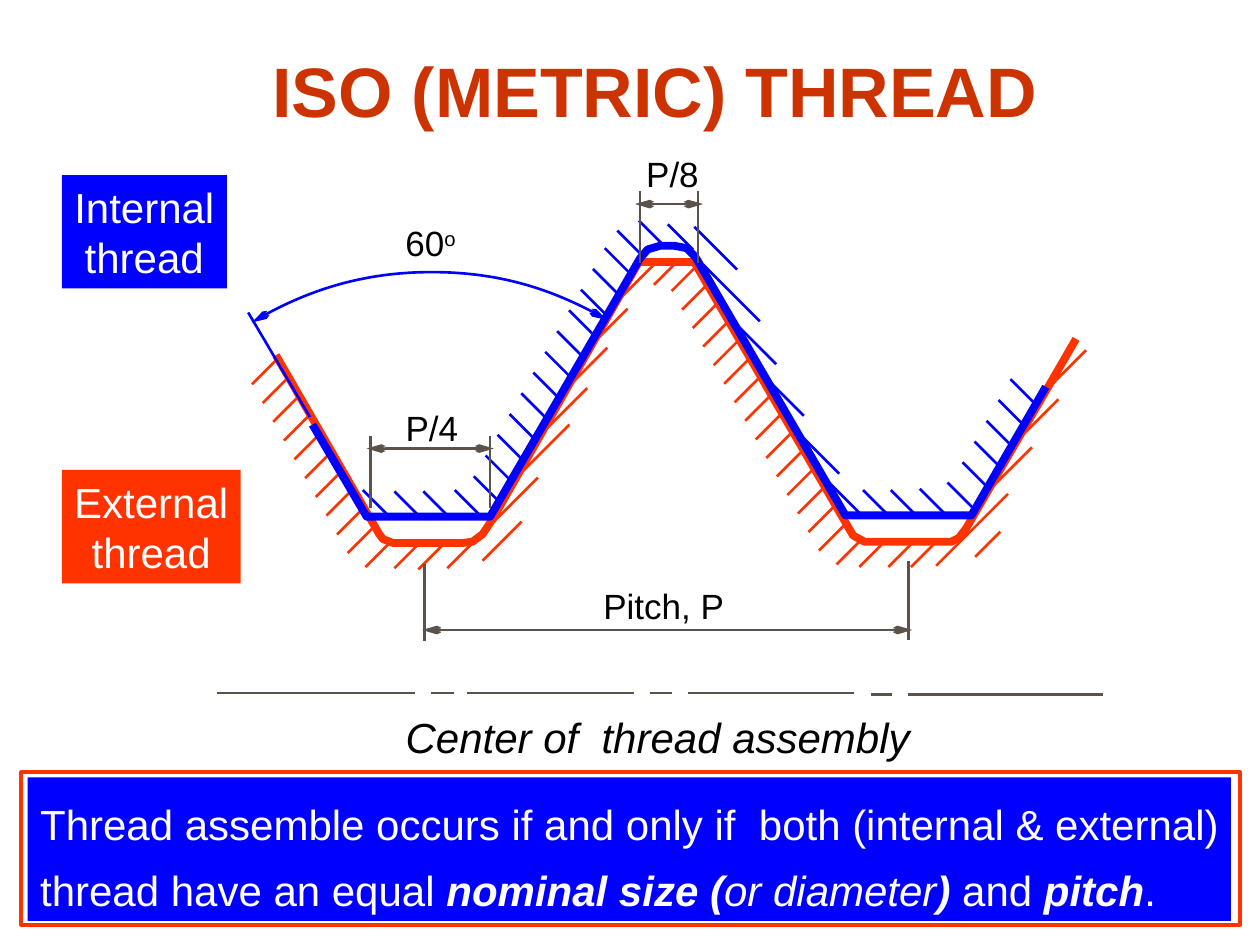
from pptx import Presentation
from pptx import util as u
from pptx.dml.color import RGBColor
from pptx.enum import shapes as kinds, text as t
from pptx.oxml.ns import qn
from lxml import etree

PX = 9144  # EMU per px, 100 px to the inch
FONT = "Arial"
COLORS = {"title": "CC3300", "external": "FF3300", "internal": "0000FF",
          "dimension": "5B5249", "black": "000000", "white": "FFFFFF"}

TITLE = "ISO (METRIC) THREAD"
TITLE_BOX = (206, 33, 680, 77)

EXTERNAL_PROFILE = [
    (219, 282), (301, 424), (304, 428), (312, 431), (331, 431), (341, 431),
    (367, 431), (375, 430), (383, 424), (391, 412), (507, 208), (551, 208),
    (677, 425), (686, 430), (755, 430), (761, 427), (767, 419), (854, 269)]
INTERNAL_PROFILE = [
    (248, 337), (291, 410), (389, 410), (508, 205), (514, 198), (524, 195),
    (535, 195), (545, 197), (552, 204), (671, 409), (771, 409), (830, 307)]

# Evenly hatched flanks: first point, last point, number of strokes
EXTERNAL_FLANKS = [((220, 285), (296, 419), 10), ((553, 211), (670, 417), 15)]
INTERNAL_FLANKS = [((500, 217), (396, 398), 12), ((822, 321), (784, 387), 5)]
# Single hatch strokes: x, y, reach
EXTERNAL_HATCHES = [
    (310, 430, 20), (333, 431, 20), (352, 432, 20), (375, 431, 20),
    (414, 414, 31), (427, 379, 38), (452, 337, 44), (466, 308, 38),
    (482, 276, 35), (498, 245, 33), (521, 208, 34), (539, 206, 20),
    (684, 428, 20), (702, 430, 20), (725, 430, 20), (743, 430, 20),
    (800, 392, 57), (794, 422, 20), (819, 355, 30), (840, 317, 33),
    (862, 278, 35)]
INTERNAL_HATCHES = [
    (381, 409, 20), (550, 198, 20), (527, 195, 20), (510, 203, 20),
    (585, 214, 34), (603, 255, 45), (616, 289, 36), (638, 330, 34),
    (666, 376, 34), (683, 408, 28), (772, 403, 20), (750, 408, 20),
    (727, 409, 20), (705, 409, 20), (356, 410, 20), (333, 410, 20),
    (308, 409, 20)]

CENTER_LINE = [(172, 329, 550), (342, 360, 550), (371, 503, 550), (516, 533, 550),
               (546, 678, 550), (691, 708, 551), (721, 875, 551)]  # x1, x2, y

# Dimension: label, label box, arrow (x1, x2, y), extension lines (x, y1, y2)
DIMENSIONS = [
    ("Pitch, P", (469, 459, 116, 44), (335, 724, 500), [(337, 448, 509), (721, 445, 508)]),
    ("P/4", (312, 318, 62, 44), (291, 392, 356), [(294, 346, 403), (389, 346, 403)]),
    ("P/8", (503, 116, 62, 44), (504, 558, 162), [(508, 152, 209), (554, 152, 209)])]

ANGLE_SIDE = ((246, 331), (197, 248))
ANGLE_ARC = (68, 216, 549, 549)
ARC_DEGREES = (238.7, 300.5)

TAGS = [(["External", "thread"], (49, 373, 142, 90), "external"),
        (["Internal", "thread"], (49, 139, 131, 90), "internal")]
CENTER_LABEL = ("Center of  thread assembly", (312, 548, 420, 62))
# Runs: text, then style letters (b bold, i italic, s superscript)
ANGLE_LABEL = ([("60", ""), ("o", "s")], (312, 171, 60, 44))
CONCLUSION = [
    "Thread assemble occurs if and only if  both (internal & external)",
    [("thread have an equal ", ""), ("nominal size (", "bi"), ("or diameter", "i"),
     (")", "bi"), (" and ", ""), ("pitch", "bi"), (".", "")]]
CONCLUSION_BOX = (22, 617, 955, 114)
CONCLUSION_FRAME = (17, 613, 967, 121)

presentation = Presentation()
presentation.slide_width, presentation.slide_height = 1000 * PX, 750 * PX
slide = presentation.slides.add_slide(presentation.slide_layouts[5])


def rgb(name):
    return RGBColor.from_string(COLORS[name])


def emu(box):
    return [round(length * PX) for length in box]


def write(shape, paragraphs, size, color, align=t.PP_ALIGN.LEFT, spacing=None,
          bold=None, italic=None):
    """Fill a shape with unwrapped paragraphs, each a string or a list of styled runs."""
    frame = shape.text_frame
    frame.word_wrap = False
    frame.auto_size = t.MSO_AUTO_SIZE.NONE
    frame.vertical_anchor = t.MSO_ANCHOR.TOP
    for index, content in enumerate(paragraphs):
        paragraph = frame.add_paragraph() if index else frame.paragraphs[0]
        paragraph.alignment = align
        paragraph.line_spacing = spacing
        font = paragraph.font
        font.name, font.size, font.bold, font.italic = FONT, u.Pt(size), bold, italic
        font.color.rgb = rgb(color)
        for words, style in [(content, "")] if isinstance(content, str) else content:
            run = paragraph.add_run()
            run.text = words
            if "b" in style:
                run.font.bold = True
            if "i" in style:
                run.font.italic = True
            if "s" in style:
                run._r.get_or_add_rPr().set("baseline", "30000")


def label(paragraphs, box, size, **style):
    write(slide.shapes.add_textbox(*emu(box)), paragraphs, size, "black", **style)


def rectangle(box, fill=None, outline=None):
    shape = slide.shapes.add_shape(kinds.MSO_SHAPE.RECTANGLE, *emu(box))
    shape.shadow.inherit = False
    if fill:
        shape.fill.solid()
        shape.fill.fore_color.rgb = rgb(fill)
    else:
        shape.fill.background()
    if outline:
        shape.line.color.rgb, shape.line.width = rgb(outline), u.Pt(2.25)
    else:
        shape.line.fill.background()
    return shape


def stroke(shape, color, width=1.5, arrows=False):
    shape.line.color.rgb, shape.line.width = rgb(color), u.Pt(width)
    if arrows:
        for end in ("a:headEnd", "a:tailEnd"):
            etree.SubElement(shape.line._get_or_add_ln(), qn(end),
                             type="arrow", w="sm", len="lg")


def line(start, end, color, arrows=False):
    connector = slide.shapes.add_connector(
        kinds.MSO_CONNECTOR.STRAIGHT, *emu((*start, *end)))
    stroke(connector, color, arrows=arrows)
    etree.SubElement(connector._element.spPr, qn("a:effectLst"))


def thread(profile, flanks, hatches, color, direction):
    """Draw a thread outline and its 45° hatching; direction is 1 down, -1 up."""
    builder = slide.shapes.build_freeform(*profile[0], scale=PX)
    builder.add_line_segments(profile[1:], close=False)
    outline = builder.convert_to_shape()
    outline.shadow.inherit = False
    outline.fill.background()
    stroke(outline, color, 4.5)
    even = [(x1 + (x2 - x1) * i / (count - 1), y1 + (y2 - y1) * i / (count - 1), 20)
            for (x1, y1), (x2, y2), count in flanks for i in range(count)]
    for x, y, reach in even + hatches:
        line((x, y), (x - reach, y + direction * reach), color)


title = slide.shapes.title
title.left, title.top, title.width, title.height = emu(TITLE_BOX)
write(title, [TITLE], 40, "title", bold=True)

thread(EXTERNAL_PROFILE, EXTERNAL_FLANKS, EXTERNAL_HATCHES, "external", 1)
thread(INTERNAL_PROFILE, INTERNAL_FLANKS, INTERNAL_HATCHES, "internal", -1)

for words, box, color in TAGS:
    write(rectangle(box, color), words, 24, "white", t.PP_ALIGN.CENTER)

for x1, x2, y in CENTER_LINE:
    line((x1, y), (x2, y), "dimension")
label([CENTER_LABEL[0]], CENTER_LABEL[1], 24,
      align=t.PP_ALIGN.CENTER, spacing=1.3, italic=True)

line(*ANGLE_SIDE, "internal")
arc = slide.shapes.add_shape(kinds.MSO_SHAPE.ARC, *emu(ANGLE_ARC))
arc.shadow.inherit = False
arc.fill.background()
for index, degrees in enumerate(ARC_DEGREES):
    arc.adjustments[index] = degrees * 0.6  # 60000 units a degree, in 100000ths
stroke(arc, "internal", arrows=True)
label([ANGLE_LABEL[0]], ANGLE_LABEL[1], 20)

for words, box, (x1, x2, y), extensions in DIMENSIONS:
    for x, top, bottom in extensions:
        line((x, top), (x, bottom), "dimension")
    line((x1, y), (x2, y), "dimension", arrows=True)
    label([words], box, 20)

write(rectangle(CONCLUSION_BOX, "internal"), CONCLUSION, 24, "white", spacing=1.3)
rectangle(CONCLUSION_FRAME, outline="external")

presentation.save("out.pptx")
